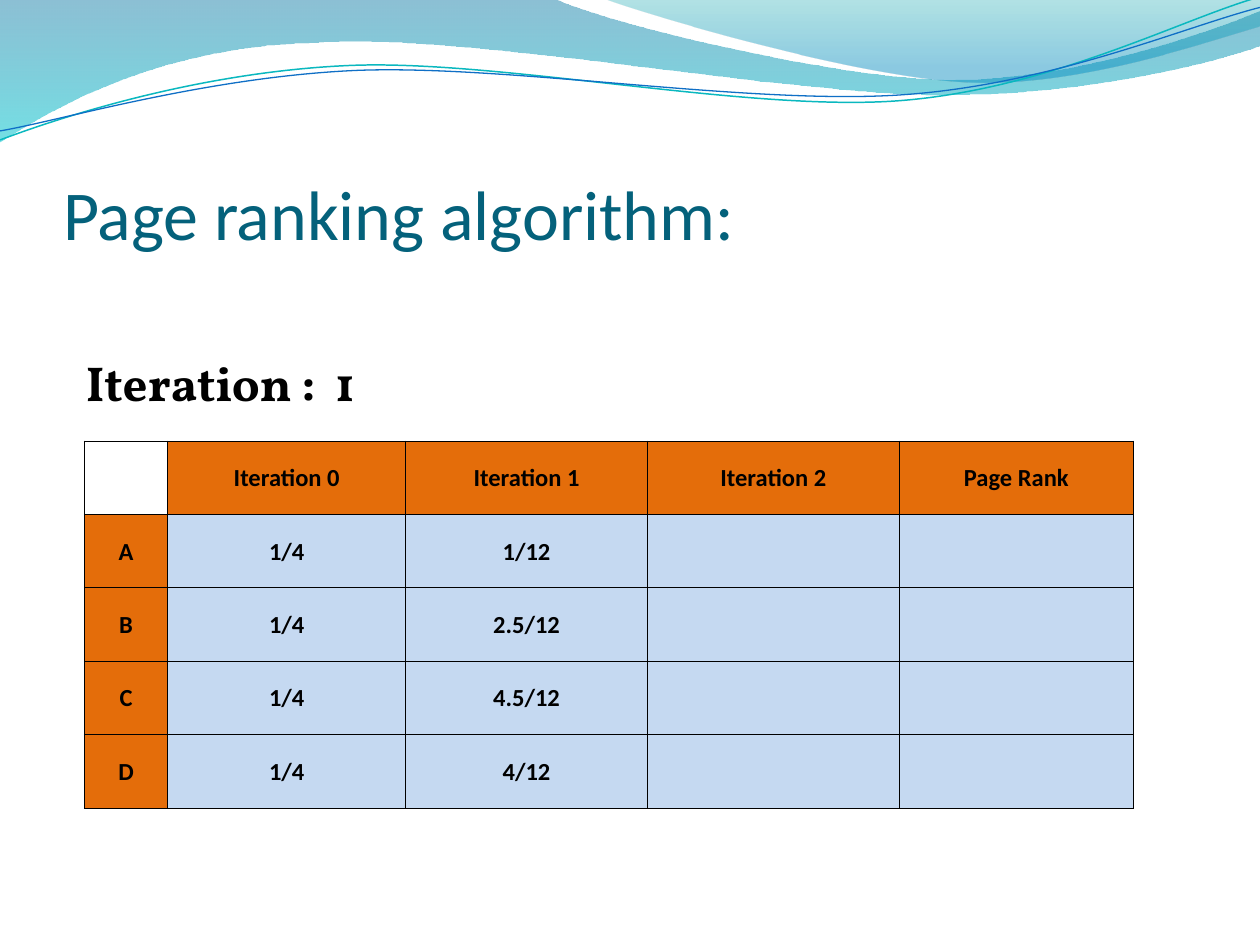
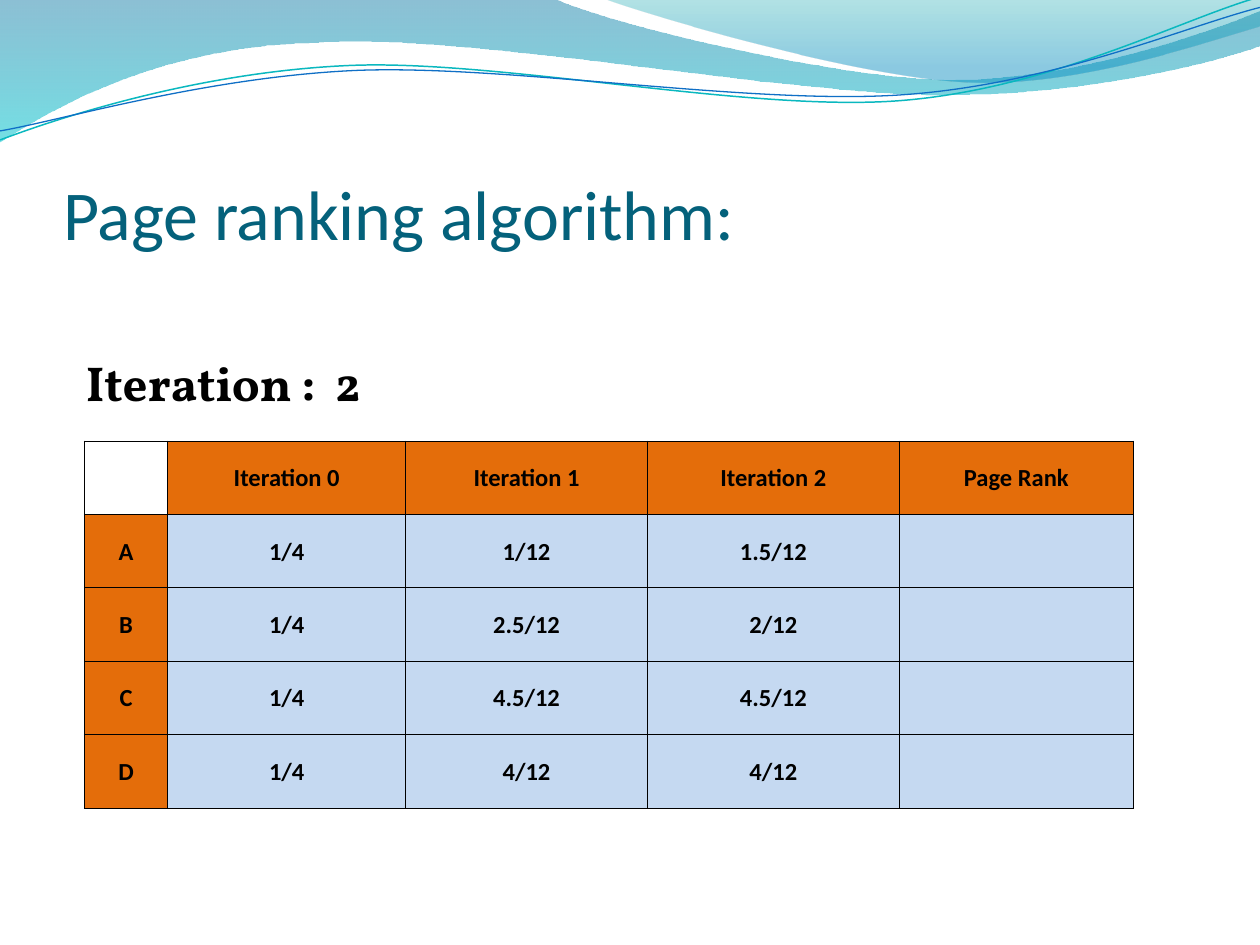
from math import cos, radians, sin

from pptx import Presentation
from pptx.dml.color import RGBColor
from pptx.enum.text import MSO_ANCHOR, MSO_AUTO_SIZE, PP_ALIGN
from pptx.oxml import parse_xml
from pptx.oxml.ns import nsdecls, qn
from pptx.util import Cm, Pt

LEFT, CENTER = PP_ALIGN.LEFT, PP_ALIGN.CENTER
MIDDLE, BOTTOM = MSO_ANCHOR.MIDDLE, MSO_ANCHOR.BOTTOM
NO_FIT, GROW = MSO_AUTO_SIZE.NONE, MSO_AUTO_SIZE.SHAPE_TO_FIT_TEXT

TEAL, BLACK, ORANGE, PALE = "04617B", "000000", "E46D0A", "C5D9F1"
SANS, SERIF = "Calibri", "Vollkorn"

# Content: each slide reveals the ranks up to its own iteration
TITLE = "Page ranking algorithm:"
HEADS = ["", "Iteration 0", "Iteration 1", "Iteration 2", "Page Rank"]
RANKS = [
    ("A", "1/4", "1/12", "1.5/12"),
    ("B", "1/4", "2.5/12", "2/12"),
    ("C", "1/4", "4.5/12", "4.5/12"),
    ("D", "1/4", "4/12", "4/12"),
]
ROUNDS = [1, 2]

# Places in cm
TITLE_BOX = (1.27, 1.96, 22.86, 3.18)
LABEL_BOX = (1.48, 6.99, 8.69, 1.45)
GRID_AT = (1.7, 8.89)
COLS = [1.68, 4.8, 4.87, 5.08, 4.72]
ROW = 1.48

# Outlines in cm: a pair is a straight step, six numbers are a Bezier curve
BANDS = [
    {"steps": [(0, 0), (11.18, -0.02),
               (12.09, 0.43, 16.87, 1.6, 19.25, 1.6),
               (21.67, 1.6, 24.33, 0.66, 25.4, 0.23),
               (25.43, 0.91),
               (24.97, 1.12, 22.1, 1.93, 18.95, 1.91),
               (15.8, 1.91, 9.7, 0.71, 6.53, 0.86),
               (3.28, 0.91, 1.17, 2.11, -0.03, 2.87)],
     "stops": [(0, "0074A1", 45), (1, "00C6CF", 55)]},
    {"steps": [(12.17, -0.02),
               (12.93, 0.28, 17.32, 1.57, 19.53, 1.65),
               (21.74, 1.75, 24.41, 0.81, 25.4, 0.53),
               (25.4, 0)],
     "stops": [(0, "00A1A9", 30), (0.8, "008BBF", 45)]},
]
LINES = [
    {"steps": [(0, 2.82),
               (1.22, 2.36, 4.01, 1.45, 7.04, 1.32),
               (10.03, 1.19, 15.06, 2.26, 18.11, 2.03),
               (21.16, 1.8, 23.83, 0.38, 25.35, -0.05)],
     "hub": (12.67, 1.46), "color": "0AB8BF", "width": 0.85},
    {"steps": [(0, 2.64),
               (1.19, 2.44, 4.17, 1.55, 7.19, 1.42),
               (10.24, 1.3, 15.16, 2.13, 18.21, 1.91),
               (21.23, 1.7, 23.9, 0.53, 25.4, 0.15)],
     "hub": (12.69, 1.5), "color": "0F6FC6", "width": 0.75},
]
TILT = 357.3


def rgb(code):
    """Turn a hex string into a colour."""
    return RGBColor.from_string(code)


def write(frame, text, size=14, color=BLACK, font=SANS, bold=True, align=LEFT):
    """Put one formatted run into a text frame."""
    para = frame.paragraphs[0]
    para.alignment = align
    run = para.add_run()
    run.text = text
    run.font.size, run.font.name, run.font.bold = Pt(size), font, bold
    run.font.color.rgb = rgb(color)


def pairs(step):
    """Split a step into its points."""
    return list(zip(step[::2], step[1::2]))


def turned(step, hub, angle):
    """Turn the points of a step clockwise about a hub."""
    c, s = cos(radians(angle)), sin(radians(angle))
    flat = []
    for x, y in pairs(step):
        dx, dy = x - hub[0], y - hub[1]
        flat += [hub[0] + dx * c - dy * s, hub[1] + dx * s + dy * c]
    return flat


def outline(slide, steps, close):
    """Draw a freeform of straight and curved steps without shadow."""
    ends = [(Cm(step[-2]), Cm(step[-1])) for step in steps]
    pen = slide.shapes.build_freeform(*ends[0])
    pen.add_line_segments(ends[1:], close=close)
    shape = pen.convert_to_shape()
    shape.shadow.inherit = False
    legs = list(shape.element.spPr.iter(qn("a:lnTo")))
    for leg, step in zip(legs, steps[1:]):
        if len(step) == 6:
            dots = "".join(
                f'<a:pt x="{Cm(x) - shape.left}" y="{Cm(y) - shape.top}"/>'
                for x, y in pairs(step))
            leg.getparent().replace(leg, parse_xml(
                f'<a:cubicBezTo {nsdecls("a")}>{dots}</a:cubicBezTo>'))
    return shape


def add_band(slide, steps, stops):
    """Draw a closed wave with a see-through gradient from top to bottom."""
    shape = outline(slide, steps, True)
    shape.line.fill.background()
    shape.fill.gradient()
    shape.fill.gradient_angle = 270
    for stop, (place, code, _) in zip(shape.fill.gradient_stops, stops):
        stop.position = place
        stop.color.rgb = rgb(code)
    tints = shape.element.spPr.iter(qn("a:srgbClr"))
    for tint, (_, _, alpha) in zip(tints, stops):
        tint.append(parse_xml(f'<a:alpha {nsdecls("a")} val="{alpha * 1000}"/>'))
    return shape


def add_line(slide, steps, hub, color, width):
    """Draw an open wavy line, level at first and then tilted."""
    level = [turned(step, hub, -TILT) for step in steps]
    shape = outline(slide, level, False)
    shape.rotation = TILT
    shape.fill.background()
    shape.line.color.rgb = rgb(color)
    shape.line.width = Pt(width)
    return shape


def add_waves(slide, layout):
    """Draw the waves and move them behind all else on the layout."""
    waves = [add_band(slide, **band) for band in BANDS]
    waves += [add_line(slide, **line) for line in LINES]
    for i, wave in enumerate(waves):
        layout.shapes.element.insert(2 + i, wave.element)


def edge(cell):
    """Give a cell a thin black border on all sides."""
    for i, side in enumerate("LRTB"):
        cell._tc.get_or_add_tcPr().insert(i, parse_xml(
            f'<a:ln{side} {nsdecls("a")} w="{Pt(0.5)}"><a:solidFill>'
            f'<a:srgbClr val="{BLACK}"/></a:solidFill></a:ln{side}>'))


def add_title(slide):
    """Place and fill the title."""
    title = slide.shapes.title
    title.left, title.top, title.width, title.height = map(Cm, TITLE_BOX)
    frame = title.text_frame
    frame.auto_size = NO_FIT
    frame.vertical_anchor = BOTTOM
    frame.margin_left = frame.margin_right = frame.margin_bottom = 0
    frame.margin_top = Cm(0.13)
    write(frame, TITLE, size=40, color=TEAL, bold=False)


def add_label(slide, turn):
    """Name the iteration above the table."""
    frame = slide.shapes.add_textbox(*map(Cm, LABEL_BOX)).text_frame
    frame.word_wrap = True
    frame.auto_size = GROW
    write(frame, f"Iteration :  {turn}", size=28, font=SERIF)


def add_grid(slide, turn):
    """Draw the rank table, filled up to the given iteration."""
    rows = [HEADS] + [rank[:turn + 2] for rank in RANKS]
    size = (sum(COLS), ROW * len(rows))
    grid = slide.shapes.add_table(len(rows), len(COLS),
                                  *map(Cm, GRID_AT + size)).table
    grid.first_row = grid.horz_banding = False
    for col, width in zip(grid.columns, COLS):
        col.width = Cm(width)
    for r, row in enumerate(rows):
        grid.rows[r].height = Cm(ROW)
        for c in range(len(COLS)):
            cell = grid.cell(r, c)
            cell.vertical_anchor = MIDDLE
            cell.margin_left = cell.margin_right = cell.margin_top = Cm(0.02)
            cell.margin_bottom = 0
            if r == c == 0:
                cell.fill.background()
            else:
                cell.fill.solid()
                cell.fill.fore_color.rgb = rgb(PALE if r and c else ORANGE)
            edge(cell)
            if c < len(row) and row[c]:
                write(cell.text_frame, row[c], align=CENTER)


deck = Presentation()
deck.slide_width, deck.slide_height = Cm(25.4), Cm(19.05)
layout = deck.slide_layouts[5]
for turn in ROUNDS:
    slide = deck.slides.add_slide(layout)
    if turn == ROUNDS[0]:
        add_waves(slide, layout)
    add_title(slide)
    add_grid(slide, turn)
    add_label(slide, turn)
deck.save("out.pptx")
